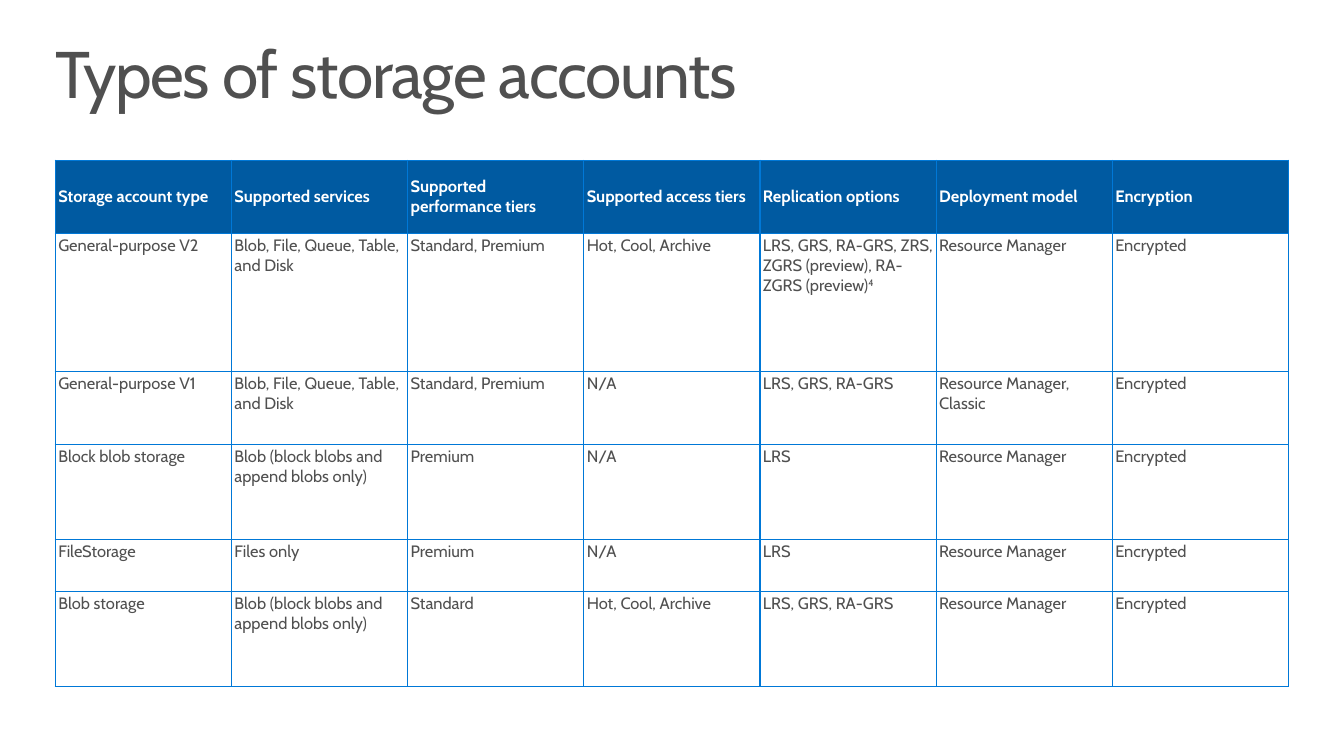
from lxml.etree import SubElement as Sub
from pptx import Presentation
from pptx.dml.color import RGBColor
from pptx.enum.text import MSO_ANCHOR as Anchor, PP_ALIGN as Align
from pptx.oxml import parse_xml
from pptx.oxml.ns import nsdecls, qn
from pptx.util import Inches, Pt

HEAD = ["Storage account type", "Supported services", "Supported performance tiers",
        "Supported access tiers", "Replication options", "Deployment model", "Encryption"]
BLOBS = "Blob (block blobs and append blobs only)"
ALL = "Blob, File, Queue, Table, and Disk"
TYPES = [
    ["General-purpose V2", ALL, "Standard, Premium", "Hot, Cool, Archive",
     "LRS, GRS, RA-GRS, ZRS, ZGRS (preview), RA-ZGRS (preview)^4", "Resource Manager"],
    ["General-purpose V1", ALL, "Standard, Premium", "N/A",
     "LRS, GRS, RA-GRS", "Resource Manager, Classic"],
    ["Block blob storage", BLOBS, "Premium", "N/A", "LRS", "Resource Manager"],
    ["FileStorage", "Files only", "Premium", "N/A", "LRS", "Resource Manager"],
    ["Blob storage", BLOBS, "Standard", "Hot, Cool, Archive",
     "LRS, GRS, RA-GRS", "Resource Manager"],
]
ROWS = [HEAD] + [kind + ["Encrypted"] for kind in TYPES]
TALL = [74, 140, 74, 96, 53, 96]


def tint(code):
    return RGBColor.from_string(code)


def write(frame, text, size=12, color="505050", bold=False, font="Cabin", gap=0, line=1.0):
    para = frame.paragraphs[0]
    para.alignment = Align.LEFT
    para.line_spacing = line
    para.space_before = Pt(0)
    for part, base in zip(text.split("^"), (0, 30)):
        run = para.add_run()
        run.text = part
        run.font.name = font
        run.font.size = Pt(size)
        run.font.bold = bold
        run.font.color.rgb = tint(color)
        props = run._r.get_or_add_rPr()
        if gap:
            props.set("spc", str(gap * 100))
        if base:
            props.set("baseline", str(base * 1000))


class Deck:
    """Hold the style, the grid and the current slide."""

    cols, rows = 340, 765
    blue, edge, white = "005AA1", "0078D7", "FFFFFF"

    def __init__(self, wide, high):
        self.show = Presentation()
        self.show.slide_width = Inches(wide)
        self.show.slide_height = Inches(high)
        self.slide = self.show.slides.add_slide(self.show.slide_layouts[5])
        self.slide.background.fill.solid()
        self.slide.background.fill.fore_color.rgb = tint(self.white)

    def across(self, count):
        return round(self.show.slide_width * count / self.cols)

    def down(self, count):
        return round(self.show.slide_height * count / self.rows)

    def title(self, text, left, top, width, height):
        box = self.slide.shapes.title
        box.left, box.top = self.across(left), self.down(top)
        box.width, box.height = self.across(width), self.down(height)
        frame = box.text_frame
        frame.word_wrap = True
        frame.vertical_anchor = Anchor.TOP
        frame.margin_left = frame.margin_right = Inches(0.16)
        frame.margin_top = frame.margin_bottom = Inches(0.1)
        write(frame, text, size=48, gap=-1, line=0.9)

    def border(self, cell):
        props = cell._tc.get_or_add_tcPr()
        for spot, side in enumerate("LRTB"):
            line = parse_xml(f'<a:ln{side} {nsdecls("a")} w="{Pt(1)}"/>')
            fill = Sub(line, qn("a:solidFill"))
            Sub(fill, qn("a:srgbClr"), val=self.edge)
            props.insert(spot, line)

    def cell(self, cell, text, head):
        cell.margin_left = cell.margin_right = Inches(0.03)
        cell.margin_top = cell.margin_bottom = Inches(0.02)
        cell.vertical_anchor = Anchor.MIDDLE if head else Anchor.TOP
        if head:
            cell.fill.solid()
            cell.fill.fore_color.rgb = tint(self.blue)
            write(cell.text_frame, text, color=self.white, bold=True)
        else:
            cell.fill.background()
            write(cell.text_frame, text)
        self.border(cell)

    def table(self, data, tall, left, top, width):
        grid = self.slide.shapes.add_table(
            len(data), len(data[0]), self.across(left), self.down(top),
            self.across(width), self.down(sum(tall))).table
        grid.horz_banding = False
        for row, high in zip(grid.rows, tall):
            row.height = self.down(high)
        for y, line in enumerate(data):
            for x, text in enumerate(line):
                self.cell(grid.cell(y, x), text, y == 0)


def main():
    deck = Deck(13.6, 7.65)
    deck.title("Types of storage accounts", 10, 32, 320, 100)
    deck.table(ROWS, TALL, 14, 162, 312)
    deck.show.save("out.pptx")


if __name__ == "__main__":
    main()
